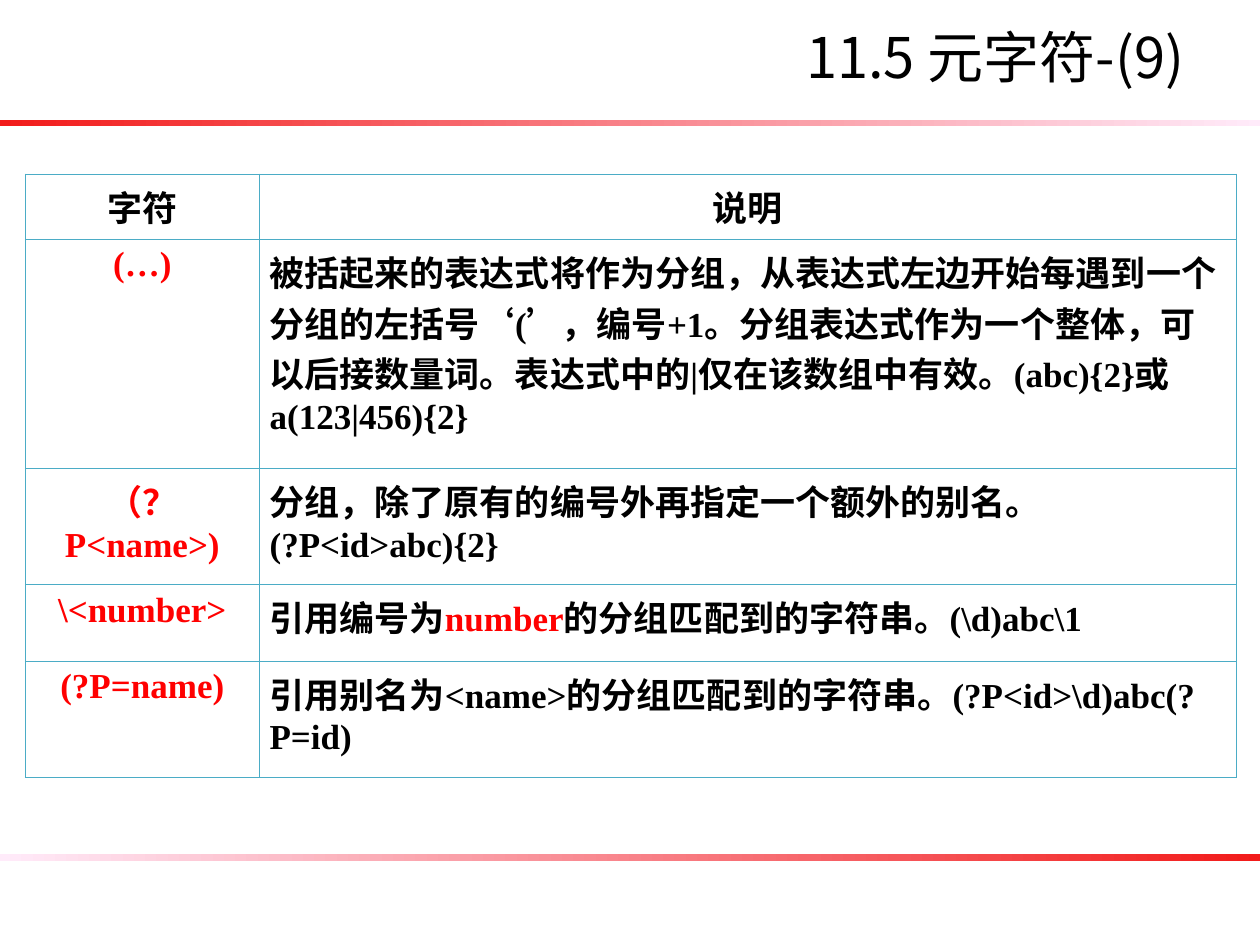
from dataclasses import dataclass
from typing import NamedTuple

from lxml import etree
from pptx import Presentation
from pptx import util as u
from pptx.dml.color import RGBColor
from pptx.enum import shapes, text
from pptx.oxml.ns import qn


@dataclass(frozen=True)
class Theme:
    black: str = "000000"
    red: str = "FF0000"
    bar_red: str = "F21B1A"
    bar_pink: str = "FFEBFA"
    border: str = "4BACC6"
    latin: str = "Times New Roman"
    cjk: str = "Noto Sans CJK SC"
    title_size: int = 32
    body_size: int = 20
    border_width: float = 0.45


class Bar(NamedTuple):
    left: float
    top: float
    width: float
    angle: int


class Row(NamedTuple):
    height: float
    symbol: str
    lines: list  # each line is a list of (text, colour) runs


T = Theme()
BARS = [Bar(0, 0.95, 10, 0), Bar(-0.01, 6.78, 10.01, 180)]
HEADER = ("字符", "说明")
HEADER_HEIGHT = 0.52
COLUMNS = (1.86, 7.75)
ROWS = [
    Row(1.82, "(…)", [[(
        "被括起来的表达式将作为分组，从表达式左边开始每遇到一个分组的左括号‘(’，编号+1。"
        "分组表达式作为一个整体，可以后接数量词。表达式中的|仅在该数组中有效。"
        "(abc){2}或a(123|456){2}", T.black)]]),
    Row(0.92, "（？P<name>)", [
        [("分组，除了原有的编号外再指定一个额外的别名。", T.black)],
        [("(?P<id>abc){2}", T.black)]]),
    Row(0.61, "\\<number>", [[
        ("引用编号为", T.black), ("number", T.red),
        ("的分组匹配到的字符串。(\\d)abc\\1", T.black)]]),
    Row(0.92, "(?P=name)", [[
        ("引用别名为<name>的分组匹配到的字符串。(?P<id>\\d)abc(?P=id)", T.black)]]),
]


def add_run(p, content: str, *, size: float = T.body_size, color: str = T.black,
            font: str = T.latin, bold: bool = True) -> None:
    r = p.add_run()
    r.text = content
    r.font.size = u.Pt(size)
    r.font.bold = bold
    r.font.name = font
    r.font.color.rgb = RGBColor.from_string(color)
    ea = etree.SubElement(r.font._element, qn("a:ea"))
    ea.set("typeface", T.cjk)


def add_bar(slide, bar: Bar) -> None:
    sp = slide.shapes.add_shape(
        shapes.MSO_SHAPE.RECTANGLE, u.Inches(bar.left), u.Inches(bar.top),
        u.Inches(bar.width), u.Inches(0.05))
    sp.shadow.inherit = False
    sp.line.fill.background()
    sp.fill.gradient()
    sp.fill.gradient_angle = bar.angle
    for stop, color in zip(sp.fill.gradient_stops, (T.bar_red, T.bar_pink)):
        stop.color.rgb = RGBColor.from_string(color)


def add_borders(cell) -> None:
    tc_pr = cell._tc.get_or_add_tcPr()
    for i, side in enumerate(("lnL", "lnR", "lnT", "lnB")):
        ln = etree.Element(qn(f"a:{side}"), w=str(u.Pt(T.border_width)))
        fill = etree.SubElement(ln, qn("a:solidFill"))
        etree.SubElement(fill, qn("a:srgbClr"), val=T.border)
        tc_pr.insert(i, ln)


def fill_cell(cell, lines: list, *, centered: bool = False, header: bool = False) -> None:
    cell.fill.background()
    add_borders(cell)
    cell.margin_left = cell.margin_right = u.Inches(0.05 if header else 0.08)
    cell.margin_top = cell.margin_bottom = u.Inches(0.05)
    cell.vertical_anchor = text.MSO_ANCHOR.MIDDLE if header else text.MSO_ANCHOR.TOP
    tf = cell.text_frame
    for i, runs in enumerate(lines):
        p = tf.add_paragraph() if i else tf.paragraphs[0]
        p.alignment = text.PP_ALIGN.CENTER if centered else text.PP_ALIGN.LEFT
        for content, color in runs:
            add_run(p, content, color=color)


def add_symbol_table(slide) -> None:
    heights = [HEADER_HEIGHT] + [row.height for row in ROWS]
    table = slide.shapes.add_table(
        len(heights), len(COLUMNS), u.Inches(0.2), u.Inches(1.38),
        u.Inches(sum(COLUMNS)), u.Inches(sum(heights))).table
    table.first_row = table.horz_banding = False
    for column, width in zip(table.columns, COLUMNS):
        column.width = u.Inches(width)
    for table_row, height in zip(table.rows, heights):
        table_row.height = u.Inches(height)
    for i, label in enumerate(HEADER):
        fill_cell(table.cell(0, i), [[(label, T.black)]], centered=True, header=True)
    for i, row in enumerate(ROWS, start=1):
        fill_cell(table.cell(i, 0), [[(row.symbol, T.red)]], centered=True)
        fill_cell(table.cell(i, 1), row.lines)


def add_title(slide, content: str) -> None:
    sp = slide.shapes.add_textbox(
        u.Inches(6.3), u.Inches(0.13), u.Inches(3.58), u.Inches(0.63))
    tf = sp.text_frame
    tf.word_wrap = True
    add_run(tf.paragraphs[0], content, size=T.title_size, font=T.cjk, bold=False)


def main() -> None:
    prs = Presentation()
    prs.slide_width, prs.slide_height = u.Inches(10), u.Inches(7.5)
    slide = prs.slides.add_slide(prs.slide_layouts[6])

    # Gradient rules above and below the content
    for bar in BARS:
        add_bar(slide, bar)

    # Table of metacharacters, then the heading
    add_symbol_table(slide)
    add_title(slide, "11.5 元字符-(9)")

    prs.save("out.pptx")


if __name__ == "__main__":
    main()
